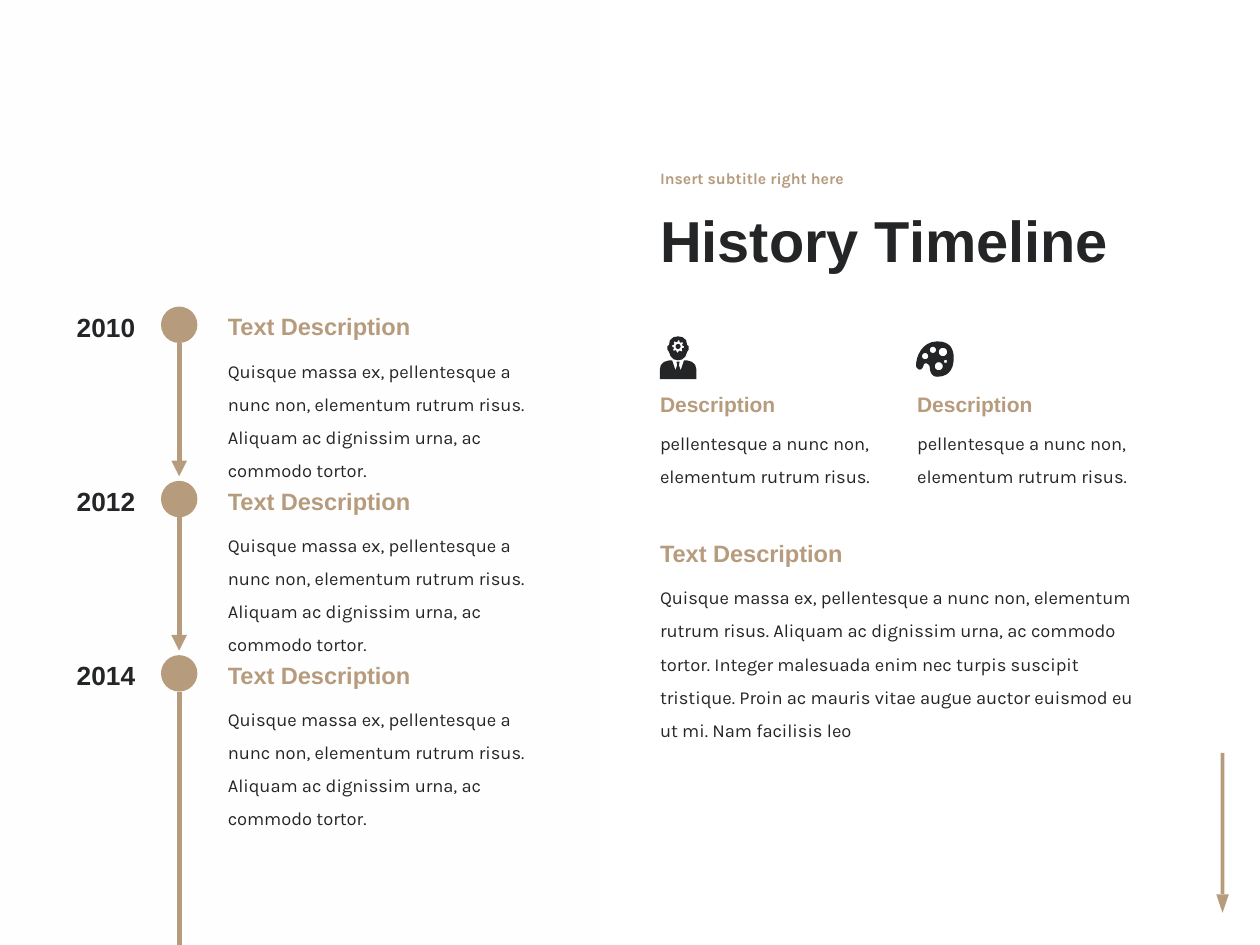
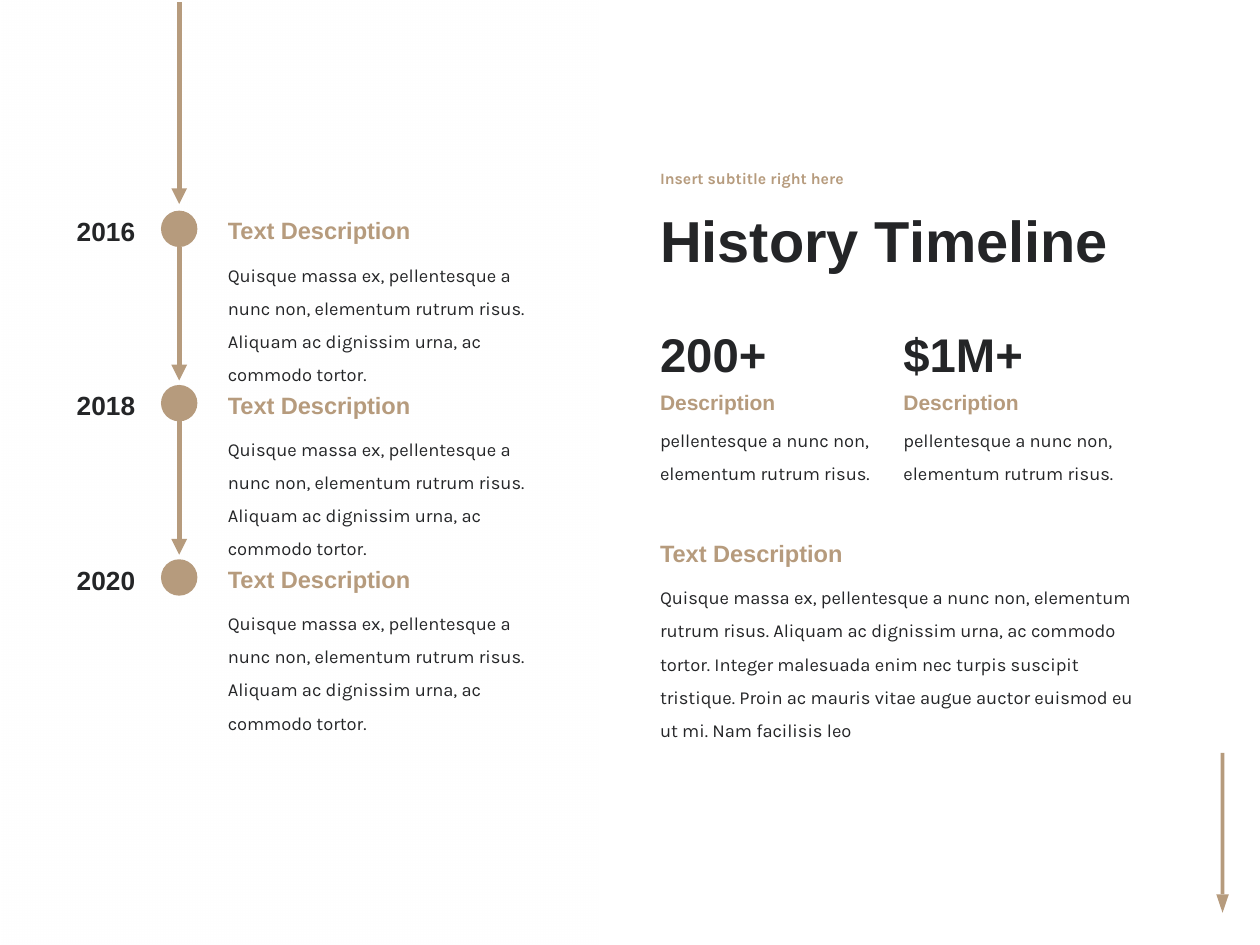
import math

import pptx
import pptx.dml.color
import pptx.enum.shapes
import pptx.enum.text
import pptx.oxml
import pptx.oxml.ns
import pptx.util
from pptx.util import Pt

SHAPES = pptx.enum.shapes.MSO_SHAPE
ALIGN = pptx.enum.text.PP_ALIGN
ANCHOR = pptx.enum.text.MSO_ANCHOR
TAN, INK, WHITE = "B69B7D", "242527", "FFFFFF"
HEAD_FONT, BODY_FONT = "Arial", "Karla"
TEXT_LEFT = 370.1
ROW_PITCH = 99.6
DOT_LEFT, DOT_SIZE = 92, 20.8
AXIS = DOT_LEFT + DOT_SIZE / 2

MILESTONE_TEXT = ("Quisque massa ex, pellentesque a nunc non, elementum rutrum risus. "
                  "Aliquam ac dignissim urna, ac commodo tortor.")
SUMMARY = MILESTONE_TEXT + (" Integer malesuada enim nec turpis suscipit tristique. "
                            "Proin ac mauris vitae augue auctor euismod eu ut mi. Nam facilisis leo")
FEATURE_TEXT = "pellentesque a nunc non, elementum rutrum risus."

HEAD_HALF = [(0, 0), (2.6, 0.5), (4.6, 2.2), (5.2, 5), (6.1, 5.6), (6.1, 7.6),
             (5.2, 8.9), (4.2, 11.5), (2.4, 13.2), (0, 13.7)]
BUST_HALF = [(0.9, 14.4), (0.5, 16.4), (1.5, 19.4), (3.4, 13.7), (5, 13.7),
             (8, 14.6), (9.8, 16.3), (10.4, 18.7), (10.4, 24.5)]
PALETTE_CURVES = [
    ((12.2, 0), (3.6, 0), (0, 8.6), (0, 13.7)),
    ((0, 13.7), (0, 15.1), (2.9, 18), (4.3, 13.7)),
    ((4.3, 13.7), (4.3, 11.5), (7.9, 12.2), (7.9, 15.1)),
    ((7.9, 15.1), (7.9, 18), (9.4, 20.2), (12.2, 20.2)),
    ((12.2, 20.2), (20.2, 20.2), (21.6, 13.7), (21.6, 9.4)),
    ((21.6, 9.4), (21.6, 5), (20.2, 0), (12.2, 0)),
]
PAINT_WELLS = [(5.3, 8.3, 1.8), (9.8, 4.8, 1.8), (13, 14.2, 2.3), (16.9, 11.5, 0.9), (15.5, 6.1, 2.4)]


def rgb(color):
    """Turn a hex string into a colour."""
    return pptx.dml.color.RGBColor.from_string(color)


def mirrored(half):
    """Close a half outline by mirroring it about x = 0."""
    return half + [(-x, y) for x, y in reversed(half)]


def ring(cx, cy, radii, count):
    """Return points around a centre, taking the radii in turn."""
    return [(cx + radii[i % len(radii)] * math.cos(2 * math.pi * i / count),
             cy + radii[i % len(radii)] * math.sin(2 * math.pi * i / count))
            for i in range(count)]


def bezier(a, b, c, d, steps=8):
    """Sample a cubic curve, leaving out its end point."""
    times = [i / steps for i in range(steps)]
    return [tuple((1 - t) ** 3 * p + 3 * t * (1 - t) ** 2 * q + 3 * t * t * (1 - t) * r + t ** 3 * s
                  for p, q, r, s in zip(a, b, c, d)) for t in times]


class Deck:
    """Holds the presentation, its style and the current slide."""

    def __init__(self):
        """Start an empty 10 by 7.5 inch deck."""
        self.prs = pptx.Presentation()
        self.prs.slide_width, self.prs.slide_height = Pt(720), Pt(540)
        self.slide = None

    def paint(self, shape, color):
        """Give a shape a plain fill without line or shadow."""
        shape.shadow.inherit = False
        shape.fill.solid()
        shape.fill.fore_color.rgb = rgb(color)
        shape.line.fill.background()
        return shape

    def shape(self, kind, left, top, width, height, color=TAN):
        """Add a filled preset shape."""
        shape = self.slide.shapes.add_shape(kind, Pt(left), Pt(top), Pt(width), Pt(height))
        return self.paint(shape, color)

    def outline(self, left, top, *contours):
        """Add a filled outline whose later contours cut holes."""
        placed = [[(Pt(left + x), Pt(top + y)) for x, y in contour] for contour in contours]
        builder = self.slide.shapes.build_freeform(*placed[0][0])
        builder.add_line_segments(placed[0][1:])
        for hole in placed[1:]:
            builder.move_to(*hole[0])
            builder.add_line_segments(hole[1:])
        return self.paint(builder.convert_to_shape(), INK)

    def text(self, words, left, top, width, height, size, color=INK, font=HEAD_FONT,
             bold=True, align=ALIGN.LEFT, spacing=None, anchor=ANCHOR.TOP):
        """Add a one-paragraph text box."""
        frame = self.slide.shapes.add_textbox(Pt(left), Pt(top), Pt(width), Pt(height)).text_frame
        frame.word_wrap = True
        frame.vertical_anchor = anchor
        if anchor == ANCHOR.TOP:
            frame.auto_size = pptx.enum.text.MSO_AUTO_SIZE.SHAPE_TO_FIT_TEXT
        paragraph = frame.paragraphs[0]
        paragraph.text = words
        paragraph.alignment = align
        if spacing:
            paragraph.line_spacing = spacing
        paragraph.font.name, paragraph.font.size = font, Pt(size)
        paragraph.font.bold = bold
        paragraph.font.color.rgb = rgb(color)

    def body(self, words, left, top, width, height):
        """Add running text."""
        self.text(words, left, top, width, height, 10.5, font=BODY_FONT, bold=False, spacing=1.5)

    def heading(self, left, top):
        """Add the heading above a block of running text."""
        self.text("Text Description", left, top, 157.7, 23.8, 13.5, TAN)

    def arrow(self, top, bottom):
        """Add an arrow down the timeline axis."""
        line = self.slide.shapes.add_connector(
            pptx.enum.shapes.MSO_CONNECTOR.STRAIGHT, Pt(AXIS), Pt(top), Pt(AXIS), Pt(bottom))
        line.line.color.rgb = rgb(TAN)
        line.line.width = Pt(3)
        qn = pptx.oxml.ns.qn
        stroke = line.line._get_or_add_ln()
        stroke.append(stroke.makeelement(qn("a:tailEnd"), {"type": "triangle"}))
        properties = line._element.spPr
        properties.append(properties.makeelement(qn("a:effectLst"), {}))

    def panel(self, left, width, clear_stop):
        """Add the white gradient panel with one translucent stop."""
        panel = self.shape(SHAPES.RECTANGLE, left, 0, width, 540, WHITE)
        panel.fill.gradient()
        panel.fill.gradient_angle = 270
        for stop in panel.fill.gradient_stops:
            stop.color.rgb = rgb(WHITE)
        qn = pptx.oxml.ns.qn
        color = list(panel._element.spPr.iter(qn("a:srgbClr")))[clear_stop]
        color.append(color.makeelement(qn("a:alpha"), {"val": "80000"}))

    def timeline_slide(self, panel_left, panel_width, clear_stop):
        """Start a slide with the shared arrow, titles, panel and summary."""
        self.slide = self.prs.slides.add_slide(self.prs.slide_layouts[6])
        self.slide.background.fill.solid()
        self.slide.background.fill.fore_color.rgb = rgb(WHITE)
        self.shape(SHAPES.RECTANGLE, 697.5, 430.2, 2.2, 80.8)
        self.shape(SHAPES.ISOSCELES_TRIANGLE, 695, 511, 7.2, 10.6).rotation = 180
        self.text("History Timeline", TEXT_LEFT, 102.2, 405.4, 74.2, 33,
                  spacing=0.9, anchor=ANCHOR.MIDDLE)
        self.text("Insert subtitle right here", TEXT_LEFT, 88.6, 405.4, 27.4, 9, TAN,
                  BODY_FONT, spacing=0.9, anchor=ANCHOR.MIDDLE)
        self.panel(panel_left, panel_width, clear_stop)
        self.body(SUMMARY, TEXT_LEFT, 325.4, 288, 81.4)
        self.heading(TEXT_LEFT, 304.6)

    def milestones(self, years, top):
        """Add dated rows with an arrow from each dot to the next."""
        for row, year in enumerate(years):
            y = top + row * ROW_PITCH
            self.shape(SHAPES.OVAL, DOT_LEFT, y, DOT_SIZE, DOT_SIZE)
            if row < len(years) - 1:
                self.arrow(y + DOT_SIZE, y + 97)
            self.text(year, 31, y - 1, 53.3, 25.2, 15, align=ALIGN.RIGHT)
            self.body(MILESTONE_TEXT, 123.1, y + 20.6, 187.2, 62.6)
            self.heading(123.1, y - 0.3)

    def feature(self, left, top):
        """Add a short description with its label."""
        self.body(FEATURE_TEXT, left, top + 16.6, 136.1, 43.2)
        self.text("Description", left, top, 108, 21.6, 12, TAN)

    def expert_icon(self, center, top):
        """Draw a bust with a gear in its head."""
        gear_y = 5.8
        self.outline(center, top, mirrored(BUST_HALF))
        self.outline(center, top, mirrored(HEAD_HALF), ring(0, gear_y, (3.5, 3.5, 2.6, 2.6), 32))
        self.shape(SHAPES.OVAL, center - 1.45, top + gear_y - 1.45, 2.9, 2.9, INK)

    def palette_icon(self, left, top):
        """Draw a painter's palette."""
        edge = [point for curve in PALETTE_CURVES for point in bezier(*curve)]
        wells = [ring(x, y, (radius,), 24) for x, y, radius in PAINT_WELLS]
        self.outline(left, top, edge, *wells).rotation = 359.1


def main():
    """Build and save both slides."""
    deck = Deck()

    deck.timeline_slide(0, 342.7, 0)
    deck.expert_icon(387.5, 192.2)
    deck.palette_icon(523.4, 195.1)
    for left in (TEXT_LEFT, 517):
        deck.feature(left, 220.3)
    first_row = 175.2
    deck.milestones(("2010", "2012", "2014"), first_row)
    deck.arrow(first_row + 2 * ROW_PITCH + DOT_SIZE, 584.6)

    deck.timeline_slide(0.7, 341.3, 1)
    deck.arrow(1.4, 116.6)
    deck.milestones(("2016", "2018", "2020"), 120.4)
    for left, width, figure in ((TEXT_LEFT, 95.8, "200+"), (509.2, 108, "$1M+")):
        deck.feature(left, 218.9)
        deck.text(figure, left, 182.2, width, 40.3, 27)

    deck.prs.save("out.pptx")


if __name__ == "__main__":
    main()
